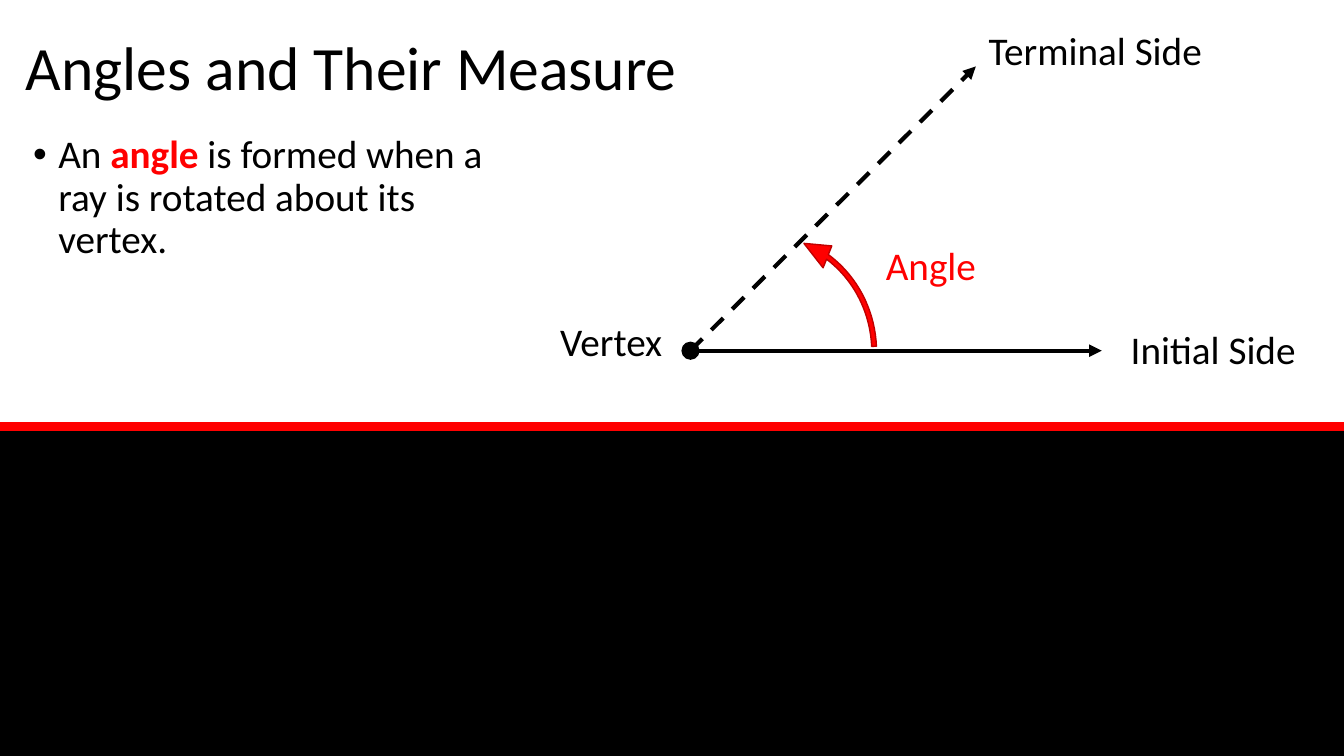
from lxml import etree
from pptx import Presentation
from pptx.dml.color import RGBColor
from pptx.enum.dml import MSO_LINE
from pptx.enum.shapes import MSO_CONNECTOR, MSO_SHAPE
from pptx.enum.text import MSO_ANCHOR
from pptx.oxml.ns import qn
from pptx.util import Pt

BLACK, RED, DARK_RED = "000000", "FF0000", "C00000"
STRAIGHT, DASH, MIDDLE = MSO_CONNECTOR.STRAIGHT, MSO_LINE.DASH, MSO_ANCHOR.MIDDLE
RECTANGLE, OVAL, ARC_ARROW = MSO_SHAPE.RECTANGLE, MSO_SHAPE.OVAL, MSO_SHAPE.CIRCULAR_ARROW

WIDTH, HEIGHT = 960, 540
PANEL_TOP = 304.5
VERTEX = (493.2, 250.5)
INITIAL_END = (787, 250.5)
TERMINAL_END = (697, 47.5)
DOT_SIZE = 13

TITLE = [("Angles and Their Measure", BLACK, False)]
DEFINITION = [
    ("An ", BLACK, False),
    ("angle", RED, True),
    (" is formed when a ray is rotated about its vertex.", BLACK, False),
]
# Text, colour, (left, top, width, height), wraps
LABELS = [
    ("Angle", RED, (625.7, 168.5, 133, 41), True),
    ("Vertex", BLACK, (393.1, 223.2, 88, 41), False),
    ("Initial Side", BLACK, (800.6, 229, 134, 41), False),
    ("Terminal Side", BLACK, (699.1, 15.1, 168.5, 41), False),
]
ARC_BOX = (450.7, 162, 185, 179.3)
ARC_FORMAT = {"rotation": 94.6}
ARC_ADJUSTMENTS = (0.019, 7.999, 197.729, 166.586, 0.047)


def color(hex_value):
    """Turn a hex string into a colour."""
    return RGBColor.from_string(hex_value)


def set_all(target, values):
    """Set every attribute in a dict of format values."""
    for name, value in values.items():
        setattr(target, name, value)


def add_text(slide, box, runs, size=28, wrap=True, frame_format=None, paragraph_format=None):
    """Add a text box with one paragraph and return the paragraph."""
    frame = slide.shapes.add_textbox(*map(Pt, box)).text_frame
    set_all(frame, {"word_wrap": wrap, **(frame_format or {})})
    paragraph = frame.paragraphs[0]
    set_all(paragraph, paragraph_format or {})
    for text, hex_value, bold in runs:
        run = paragraph.add_run()
        run.text = text
        set_all(run.font, {"name": "Calibri", "size": Pt(size), "bold": bold})
        run.font.color.rgb = color(hex_value)
    return paragraph


def add_bullet(paragraph, indent):
    """Give a paragraph a bullet with a hanging indent."""
    properties = paragraph._p.get_or_add_pPr()
    properties.set("marL", str(Pt(indent)))
    properties.set("indent", str(-Pt(indent)))
    etree.SubElement(properties, qn("a:buFont"), typeface="Arial")
    etree.SubElement(properties, qn("a:buChar"), char="\u2022")


def add_line(slide, start, end, hex_value, width, dash=None, arrow=False):
    """Add a straight line, with an arrowhead at its end if asked."""
    connector = slide.shapes.add_connector(STRAIGHT, *map(Pt, start + end))
    set_all(connector.line, {"width": Pt(width), "dash_style": dash})
    connector.line.color.rgb = color(hex_value)
    if arrow:
        etree.SubElement(connector.line._get_or_add_ln(), qn("a:tailEnd"), type="triangle")
    etree.SubElement(connector._element.spPr, qn("a:effectLst"))


def add_shape(slide, kind, box, fill, outline=None):
    """Add a filled preset shape, outlined only if a colour is given."""
    shape = slide.shapes.add_shape(kind, *map(Pt, box))
    shape.shadow.inherit = False
    shape.fill.solid()
    shape.fill.fore_color.rgb = color(fill)
    if outline:
        shape.line.color.rgb = color(outline)
        shape.line.width = Pt(1)
    else:
        shape.line.fill.background()
    return shape


def add_angle_arrow(slide):
    """Add the curved arrow from the initial to the terminal side."""
    arrow = add_shape(slide, ARC_ARROW, ARC_BOX, RED, DARK_RED)
    set_all(arrow, ARC_FORMAT)
    arrow._element.spPr.xfrm.set("flipH", "1")
    for index, value in enumerate(ARC_ADJUSTMENTS):
        arrow.adjustments[index] = value


presentation = Presentation()
set_all(presentation, {"slide_width": Pt(WIDTH), "slide_height": Pt(HEIGHT)})
slide = presentation.slides.add_slide(presentation.slide_layouts[6])

add_text(slide, (11.5, -1.5, 828, 104.4), TITLE, size=44,
         frame_format={"vertical_anchor": MIDDLE}, paragraph_format={"line_spacing": 0.9})
definition = add_text(slide, (16.6, 92.9, 349, 171.4), DEFINITION,
                      paragraph_format={"line_spacing": 0.9, "space_before": Pt(10)})
add_bullet(definition, 18)

add_line(slide, VERTEX, INITIAL_END, BLACK, 3, arrow=True)
add_line(slide, VERTEX, TERMINAL_END, BLACK, 3, dash=DASH, arrow=True)
for text, hex_value, box, wrap in LABELS:
    add_text(slide, box, [(text, hex_value, False)], wrap=wrap)

add_shape(slide, RECTANGLE, (0, PANEL_TOP, WIDTH, HEIGHT - PANEL_TOP), BLACK)
add_line(slide, (0, PANEL_TOP), (WIDTH, PANEL_TOP), RED, 6)
add_angle_arrow(slide)
dot_corner = tuple(center - DOT_SIZE / 2 for center in VERTEX)
add_shape(slide, OVAL, dot_corner + (DOT_SIZE, DOT_SIZE), BLACK)

presentation.save("out.pptx")
